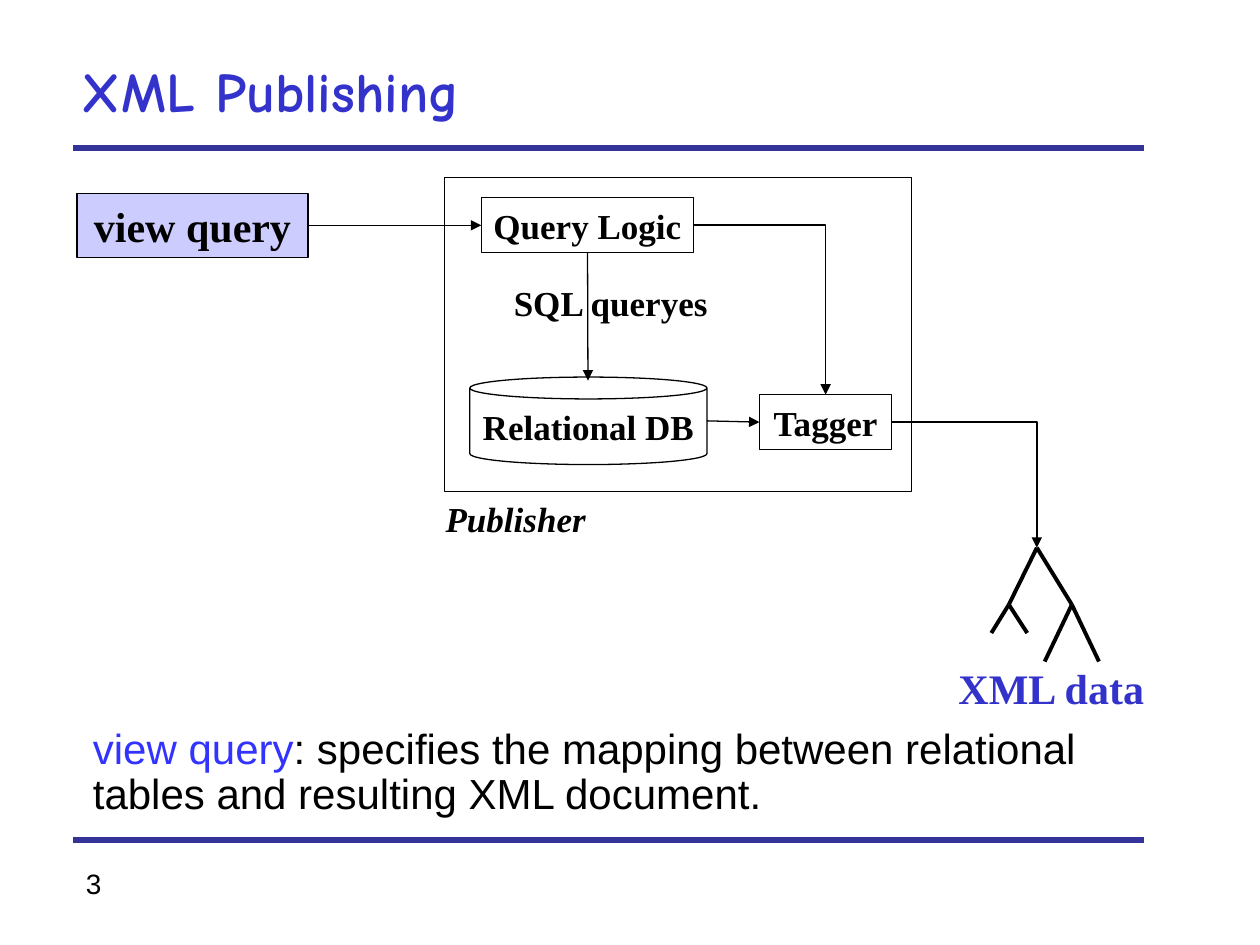
from lxml.etree import SubElement, fromstring
from pptx import Presentation
from pptx.dml.color import RGBColor
from pptx.enum.shapes import MSO_CONNECTOR as Connector, MSO_SHAPE as Shape
from pptx.enum.text import MSO_ANCHOR as Anchor, PP_ALIGN as Align
from pptx.oxml.ns import nsdecls, qn
from pptx.util import Pt

BLACK = RGBColor(0x00, 0x00, 0x00)
WHITE = RGBColor(0xFF, 0xFF, 0xFF)
RULE_BLUE = RGBColor(0x33, 0x33, 0x99)
TITLE_BLUE = RGBColor(0x33, 0x33, 0xCC)
TERM_BLUE = RGBColor(0x33, 0x33, 0xFF)
LAVENDER = RGBColor(0xCC, 0xCC, 0xFF)
SERIF, SANS, COMIC = "Times New Roman", "Arial", "Comic Neue"
TOP, BOTTOM, RIGHT, LEFT = 0, 2, 3, 1


def write_text(shape, text, size=20, font=SERIF, color=BLACK, bold=True, italic=False,
               align=Align.CENTER, anchor=Anchor.MIDDLE, wrap=False, spacing=None):
    """Append one formatted run to the first paragraph of a shape."""
    frame = shape.text_frame
    frame.word_wrap = wrap
    frame.vertical_anchor = anchor
    paragraph = frame.paragraphs[0]
    paragraph.alignment = align
    paragraph.line_spacing = spacing
    run = paragraph.add_run()
    run.text = text
    run.font.size, run.font.name = Pt(size), font
    run.font.bold, run.font.italic = bold, italic
    run.font.color.rgb = color
    return run


def add_label(slide, box, text, **style):
    """Add a text box holding one run."""
    label = slide.shapes.add_textbox(*map(Pt, box))
    write_text(label, text, **{"anchor": Anchor.TOP, **style})
    return label


def add_box(slide, box, text=None, kind=Shape.RECTANGLE, fill=WHITE, line=BLACK, **style):
    """Add a shape with optional fill, outline and text."""
    shape = slide.shapes.add_shape(kind, *map(Pt, box))
    shape.shadow.inherit = False
    if fill is None:
        shape.fill.background()
    else:
        shape.fill.solid()
        shape.fill.fore_color.rgb = fill
    if line is None:
        shape.line.fill.background()
    else:
        shape.line.color.rgb = line
        shape.line.width = Pt(0.75)
    if text:
        write_text(shape, text, **style)
    return shape


def add_line(slide, start, end, width=0.75, color=BLACK, arrow=False, corner=False,
             source=None, target=None):
    """Add a straight or one-corner connector, joined to (shape, site) pairs if given."""
    kind = Connector.ELBOW if corner else Connector.STRAIGHT
    connector = slide.shapes.add_connector(kind, *map(Pt, (*start, *end)))
    connector.line.color.rgb = color
    connector.line.width = Pt(width)
    if source:
        connector.begin_connect(*source)
    if target:
        connector.end_connect(*target)
    properties = connector._element.spPr
    if corner:
        properties.find(qn("a:prstGeom")).set("prst", "bentConnector2")
    if arrow:
        SubElement(properties.find(qn("a:ln")), qn("a:tailEnd"), type="triangle")
    SubElement(properties, qn("a:effectLst"))
    return connector


def add_title(slide, box, text):
    """Place the title placeholder and give its text a soft shadow."""
    title = slide.shapes.title
    title.left, title.top, title.width, title.height = map(Pt, box)
    run = write_text(title, text, size=32, font=COMIC, color=TITLE_BLUE,
                     align=Align.LEFT, wrap=True, spacing=0.85)
    shadow = fromstring(
        f'<a:effectLst {nsdecls("a")}><a:outerShdw dist="25400" dir="2700000">'
        '<a:srgbClr val="808080"/></a:outerShdw></a:effectLst>')
    run.font._element.find(qn("a:solidFill")).addnext(shadow)


def add_frame(slide, box, number):
    """Draw the rules above and below the content and the page number."""
    left, top, width, height = box
    for y in (top, top + height):
        add_line(slide, (left, y), (left + width, y), width=3.25, color=RULE_BLUE)
    add_label(slide, (left, top + height + 11.5, 175, 26.5), number, size=16, font=SANS,
              bold=False, align=Align.LEFT, wrap=True)


def add_publisher(slide, box):
    """Draw the publisher with its parts; return the query logic and the tagger."""
    left, top, width, height = box
    add_box(slide, (left + 32, top + 55.5, 126, 31.5), "SQL queryes", line=None)
    database = add_box(slide, (left + 14.5, top + 114, 135.5, 50), "Relational DB", Shape.CAN)
    logic = add_box(slide, (left + 21, top + 11.5, 121.5, 31.5), "Query Logic")
    tagger = add_box(slide, (left + 180, top + 124, 75.5, 31.5), "Tagger")
    database.adjustments[0] = 0.25
    add_line(slide, (left + 82, top + 43), (left + 82, top + 116), arrow=True,
             source=(logic, BOTTOM))
    add_line(slide, (left + 150, top + 139), (left + 180, top + 139), arrow=True,
             target=(tagger, LEFT))
    add_line(slide, (left + 142.5, top + 27), (left + 218, top + 124), width=1,
             arrow=True, corner=True, source=(logic, RIGHT), target=(tagger, TOP))
    add_box(slide, box, fill=None)
    add_label(slide, (left - 6.5, top + height, 94.5, 31.5), "Publisher", italic=True)
    return logic, tagger


def add_tree(slide, box):
    """Draw the XML tree and its caption; return the root point."""
    left, top, width, height = box
    root, inner_left, inner_right = (26, 0), (10, 32.5), (46, 32.5)
    branches = (
        (root, inner_left), (root, inner_right),
        (inner_right, (30.5, height)), (inner_right, (width, height)),
        (inner_left, (20.5, height * 0.75)), (inner_left, (0, height * 0.75)),
    )
    for start, end in branches:
        add_line(slide, (left + start[0], top + start[1]), (left + end[0], top + end[1]),
                 width=2.25)
    add_label(slide, (left - 26.5, top + height - 3, 121.5, 36), "XML data",
              size=24, color=TITLE_BLUE)
    return left + root[0], top


def add_definition(slide, box, term, meaning):
    """Write the coloured term followed by its meaning."""
    style = dict(size=24, font=SANS, bold=False, align=Align.LEFT,
                 anchor=Anchor.TOP, wrap=True, spacing=0.9)
    label = add_label(slide, box, term, color=TERM_BLUE, **style)
    label.text_frame.paragraphs[0].space_before = Pt(9)
    write_text(label, meaning, **style)


def main():
    """Build and save the slide."""
    presentation = Presentation()
    presentation.slide_width, presentation.slide_height = Pt(720), Pt(540)
    slide = presentation.slides.add_slide(presentation.slide_layouts[5])
    add_frame(slide, (42, 84.5, 612, 395.5), "3")
    add_title(slide, (39.5, 17.5, 680.5, 73.5), "XML Publishing")
    logic, tagger = add_publisher(slide, (254, 101.5, 267, 179.5))
    view = add_box(slide, (44, 110.5, 132, 36.5), "view query", fill=LAVENDER, size=24)
    add_line(slide, (176, 128.75), (275, 128.75), arrow=True,
             source=(view, RIGHT), target=(logic, LEFT))
    root = add_tree(slide, (566.5, 313, 61.5, 65))
    add_line(slide, (509.5, 241.25), root, width=1, arrow=True, corner=True,
             source=(tagger, RIGHT))
    add_definition(slide, (46, 412.5, 610.5, 59), "view query",
                   ": specifies the mapping between relational tables and resulting XML document.")
    presentation.save("out.pptx")


if __name__ == "__main__":
    main()
